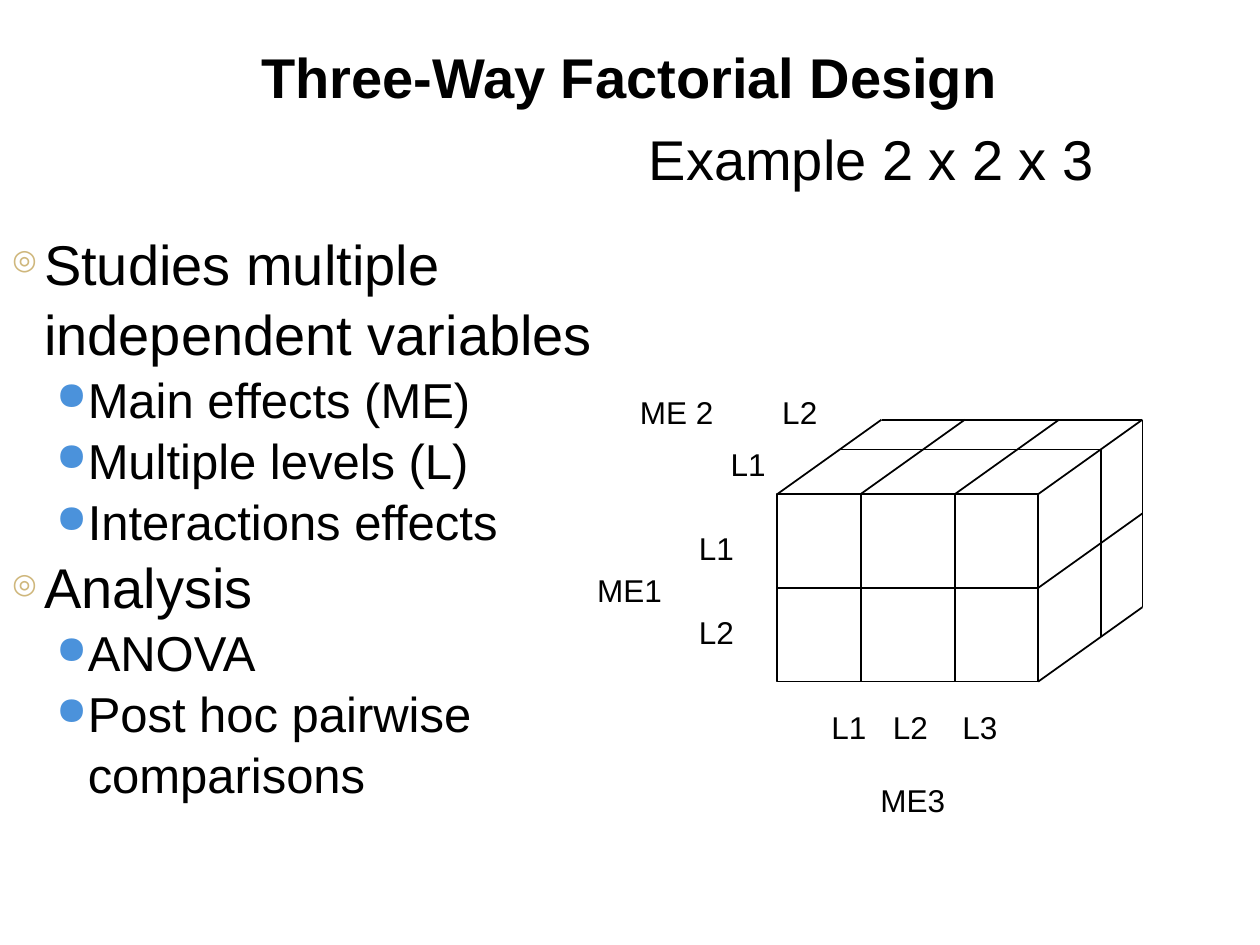
"""Build the three-way factorial design slide."""
from lxml import etree
from pptx import Presentation
from pptx.dml.color import RGBColor
from pptx.enum.shapes import MSO_CONNECTOR as CONN, MSO_SHAPE as SHAPE
from pptx.enum.text import MSO_ANCHOR as ANCHOR, PP_ALIGN as ALIGN
from pptx.oxml.ns import qn
from pptx.util import Cm, Pt

BLACK, FONT = "000000", "Arial"
TITLE = "Three-Way Factorial Design"
SUBTITLE = "Example 2 x 2 x 3"
POINTS = [
    (0, "Studies multiple independent variables"),
    (1, "Main effects (ME)"),
    (1, "Multiple levels (L)"),
    (1, "Interactions effects"),
    (0, "Analysis"),
    (1, "ANOVA"),
    (1, "Post hoc pairwise comparisons"),
]
LEVELS = [
    dict(size=32, indent=0.64, char="◎", color="CFB77C", pct=50),
    dict(size=28, indent=1.52, char="●", color="4B92DB", pct=80),
]
HANGING, SPACING = 0.64, 1.04
LABELS = [
    ("L1\tL2\tL3", 16.51, 14.15, 3.86),
    ("L1", 13.84, 10.54, 1.22),
    ("L2", 13.84, 12.24, 1.22),
    ("L2", 15.52, 7.8, 1.22),
    ("L1", 14.48, 8.84, 1.22),
    ("ME1", 11.79, 11.38, 1.8),
    ("ME 2", 12.65, 7.8, 1.98),
    ("ME3", 17.5, 15.62, 1.8),
]
LABEL_TABS = (1.24, 2.64)
LEFT, TOP, WIDTH, HEIGHT = 15.67, 9.96, 5.26, 3.78
COLUMNS = (1.68, 3.58)
DEPTH_X, DEPTH_Y, SLICE = 2.1, 1.5, 0.6


def rgb(color):
    return RGBColor.from_string(color)


def add_box(s, x, y, w, h):
    tf = s.shapes.add_textbox(Cm(x), Cm(y), Cm(w), Cm(h)).text_frame
    tf.word_wrap = True
    return tf


def add_run(p, text, size, bold=False):
    r = p.add_run()
    r.text = text
    r.font.name, r.font.size, r.font.bold = FONT, Pt(size), bold
    r.font.color.rgb = rgb(BLACK)


def add_bullet(p, level):
    pPr = p._p.get_or_add_pPr()
    pPr.set("marL", str(Cm(level["indent"])))
    pPr.set("indent", str(-Cm(HANGING)))
    clr = etree.SubElement(pPr, qn("a:buClr"))
    etree.SubElement(clr, qn("a:srgbClr"), val=level["color"])
    etree.SubElement(pPr, qn("a:buSzPct"), val=str(level["pct"] * 1000))
    etree.SubElement(pPr, qn("a:buChar"), char=level["char"])


def add_tabs(p, stops):
    tabs = etree.SubElement(p._p.get_or_add_pPr(), qn("a:tabLst"))
    for stop in stops:
        etree.SubElement(tabs, qn("a:tab"), pos=str(Cm(stop)), algn="l")


def add_line(s, x1, y1, x2, y2):
    line = s.shapes.add_connector(CONN.STRAIGHT, Cm(x1), Cm(y1), Cm(x2), Cm(y2))
    line.line.color.rgb, line.line.width = rgb(BLACK), Pt(1)
    etree.SubElement(line._element.spPr, qn("a:effectLst"))
    return line


def add_cube(s):
    right, bottom, middle = LEFT + WIDTH, TOP + HEIGHT, TOP + HEIGHT / 2
    front = s.shapes.add_shape(SHAPE.RECTANGLE, Cm(LEFT), Cm(TOP), Cm(WIDTH), Cm(HEIGHT))
    front.shadow.inherit = False
    front.fill.background()
    front.line.color.rgb, front.line.width = rgb(BLACK), Pt(1)
    row = add_line(s, LEFT, middle, right, middle)
    row.begin_connect(front, 1)
    row.end_connect(front, 3)
    for col in COLUMNS:
        add_line(s, LEFT + col, TOP, LEFT + col, bottom)
    edges = [(LEFT + col, TOP) for col in (0, *COLUMNS, WIDTH)]
    for x, y in edges + [(right, middle), (right, bottom)]:
        add_line(s, x, y, x + DEPTH_X, y - DEPTH_Y)
    for part in (SLICE, 1):
        dx, dy = part * DEPTH_X, part * DEPTH_Y
        add_line(s, LEFT + dx, TOP - dy, right + dx, TOP - dy)
        add_line(s, right + dx, TOP - dy, right + dx, bottom - dy)


def main():
    prs = Presentation()
    prs.slide_width, prs.slide_height = Cm(25.4), Cm(19.05)
    s = prs.slides.add_slide(prs.slide_layouts[6])

    tf = add_box(s, 0.84, 0.43, 23.7, 1.9)
    tf.vertical_anchor = ANCHOR.BOTTOM
    p = tf.paragraphs[0]
    p.alignment = ALIGN.CENTER
    add_run(p, TITLE, 32, bold=True)

    tf = add_box(s, 0, 4.45, 12.22, 11.43)
    for i, (depth, text) in enumerate(POINTS):
        p = tf.add_paragraph() if i else tf.paragraphs[0]
        p.level, p.line_spacing = depth, SPACING
        add_bullet(p, LEVELS[depth])
        add_run(p, text, LEVELS[depth]["size"])

    p = add_box(s, 12.83, 2.34, 10.87, 15.67).paragraphs[0]
    p.line_spacing = SPACING
    add_run(p, SUBTITLE, 32)

    add_cube(s)
    for text, x, y, w in LABELS:
        tf = add_box(s, x, y, w, 1.02)
        tf.margin_right = 0
        p = tf.paragraphs[0]
        if "\t" in text:
            add_tabs(p, LABEL_TABS)
        add_run(p, text, 18)

    prs.save("out.pptx")


if __name__ == "__main__":
    main()
